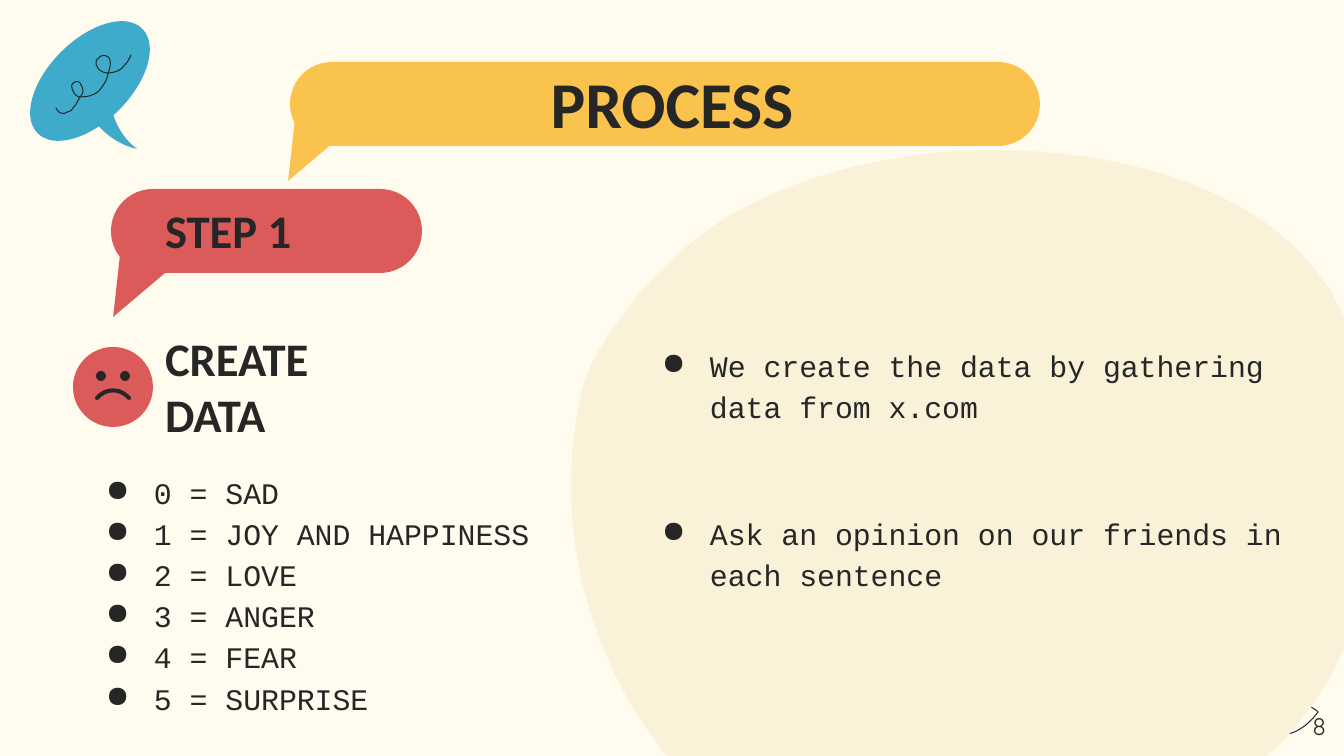
from dataclasses import dataclass

from lxml import etree
from pptx import Presentation
from pptx import util as u
from pptx.dml.color import RGBColor
from pptx.enum import shapes, text
from pptx.oxml.ns import qn

EMU_PER_PX = 914400 / 134.4
CURVE_STEPS = 12


def px(length):
    return u.Emu(round(length * EMU_PER_PX))


@dataclass(frozen=True)
class Theme:
    paper: str = "FFFBEE"
    ink: str = "262626"
    blue: str = "3DABC9"
    yellow: str = "FAC34D"
    red: str = "DB5A5A"
    cream: str = "FAF1D9"
    heading_font: str = "Calibri"
    body_font: str = "Courier New"
    number_font: str = "Quicksand"
    title_size: int = 35
    heading_size: int = 25
    body_size: int = 16
    number_size: int = 13


def flatten(start, curves):
    """Turn cubic curves (two controls and an end) or line ends into points."""
    points = [start]
    for curve in curves:
        if len(curve) == 2:
            points.append(curve)
            continue
        x0, y0 = points[-1]
        x1, y1, x2, y2, x3, y3 = curve
        for step in range(1, CURVE_STEPS + 1):
            t = step / CURVE_STEPS
            a, b, c, d = (1 - t) ** 3, 3 * t * (1 - t) ** 2, 3 * t * t * (1 - t), t ** 3
            points.append((a * x0 + b * x1 + c * x2 + d * x3,
                           a * y0 + b * y1 + c * y2 + d * y3))
    return points


class SlideBuilder:
    def __init__(self, slide, theme):
        self.slide = slide
        self.theme = theme
        slide.background.fill.solid()
        slide.background.fill.fore_color.rgb = RGBColor.from_string(theme.paper)

    def paint(self, shape, color):
        shape.shadow.inherit = False
        shape.fill.solid()
        shape.fill.fore_color.rgb = RGBColor.from_string(color)
        shape.line.fill.background()

    def preset(self, kind, box, color, rotation=0):
        shape = self.slide.shapes.add_shape(kind, *map(px, box))
        shape.rotation = rotation
        self.paint(shape, color)
        return shape

    def outline(self, start, curves, closed):
        points = [(px(x), px(y)) for x, y in flatten(start, curves)]
        builder = self.slide.shapes.build_freeform(*points[0], scale=1.0)
        builder.add_line_segments(points[1:], close=closed)
        return builder.convert_to_shape()

    def curved_area(self, start, curves, color):
        self.paint(self.outline(start, curves, True), color)

    def stroke(self, start, curves, width, closed=False):
        shape = self.outline(start, curves, closed)
        shape.shadow.inherit = False
        shape.fill.background()
        shape.line.color.rgb = RGBColor.from_string(self.theme.ink)
        shape.line.width = px(width)
        shape._element.spPr.find(qn("a:ln")).set("cap", "rnd")

    def pill(self, box, color):
        shape = self.preset(shapes.MSO_SHAPE.ROUNDED_RECTANGLE, box, color)
        shape.adjustments[0] = 0.5

    def pointer(self, left, top, color):
        shape = self.preset(shapes.MSO_SHAPE.RIGHT_TRIANGLE, (left, top, 71, 75), color, 186.3)
        shape._element.spPr.find(qn("a:xfrm")).set("flipH", "1")

    def text_frame(self, box, anchor=text.MSO_ANCHOR.TOP, top_inset=13):
        frame = self.slide.shapes.add_textbox(*map(px, box)).text_frame
        frame.word_wrap = True
        frame.vertical_anchor = anchor
        frame.margin_left = frame.margin_right = frame.margin_bottom = px(13)
        frame.margin_top = px(top_inset)
        return frame

    def run(self, paragraph, words, font, size, bold=False):
        run = paragraph.add_run()
        run.text = words
        run.font.name = font
        run.font.size = u.Pt(size)
        run.font.bold = bold
        run.font.color.rgb = RGBColor.from_string(self.theme.ink)

    def heading(self, box, words, size, align=text.PP_ALIGN.LEFT):
        paragraph = self.text_frame(box, text.MSO_ANCHOR.MIDDLE).paragraphs[0]
        paragraph.alignment = align
        self.run(paragraph, words, self.theme.heading_font, size, True)

    def page_number(self, box, words):
        paragraph = self.text_frame(box).paragraphs[0]
        paragraph.alignment = text.PP_ALIGN.RIGHT
        self.run(paragraph, words, self.theme.number_font, self.theme.number_size)

    def bullets(self, box, items, gap=0, top_inset=13):
        frame = self.text_frame(box, top_inset=top_inset)
        for index, item in enumerate(items):
            paragraph = frame.add_paragraph() if index else frame.paragraphs[0]
            properties = paragraph._p.get_or_add_pPr()
            properties.set("marL", str(px(67)))
            properties.set("indent", str(px(-48)))
            color = etree.SubElement(properties, qn("a:buClr"))
            etree.SubElement(color, qn("a:srgbClr")).set("val", self.theme.ink)
            etree.SubElement(properties, qn("a:buChar")).set("char", "●")
            paragraph.line_spacing = 1.15
            paragraph.space_before = u.Pt(gap if index else 0)
            self.run(paragraph, item, self.theme.body_font, self.theme.body_size)


def main():
    presentation = Presentation()
    presentation.slide_width, presentation.slide_height = px(1344), px(756)
    theme = Theme()
    slide = SlideBuilder(presentation.slides.add_slide(presentation.slide_layouts[6]), theme)
    oval = shapes.MSO_SHAPE.OVAL

    # Eye doodle in the corner
    slide.stroke((1243, 720), [
        (1243, 720, 1255, 702, 1275, 699), (1296, 696, 1317, 710, 1318, 712),
        (1317, 714, 1304, 731, 1288, 734), (1268, 737, 1248, 723, 1243, 720)], 1, True)

    # Blue speech bubble with a squiggle
    slide.preset(oval, (16, 40, 148, 82), theme.blue, 315)
    slide.curved_area((85, 105), [
        (94, 126, 114, 144, 137, 149), (117, 134, 108, 109, 110, 85)], theme.blue)
    slide.stroke((56, 108), [
        (57, 110, 58, 111, 59, 112), (62, 114, 65, 114, 67, 112),
        (70, 112, 72, 110, 73, 108), (76, 105, 78, 101, 80, 97),
        (82, 95, 83, 93, 83, 91), (83, 89, 82, 86, 81, 85),
        (80, 82, 78, 81, 75, 82), (73, 83, 71, 85, 72, 88),
        (73, 92, 76, 97, 80, 97), (91, 97, 95, 94, 99, 91),
        (103, 86, 107, 81, 108, 74), (110, 69, 112, 60, 108, 57),
        (105, 55, 101, 55, 99, 58), (95, 60, 96, 65, 97, 66),
        (98, 70, 103, 73, 108, 73), (113, 73, 120, 71, 123, 67),
        (127, 63, 129, 60, 131, 55)], 1)

    # Title bubble
    slide.pill((290, 62, 750, 84), theme.yellow)
    slide.pointer(292, 110, theme.yellow)
    slide.heading((105, 78, 1134, 48), "PROCESS", theme.title_size, text.PP_ALIGN.CENTER)

    # Step bubble and its subject
    slide.pointer(117, 246, theme.red)
    slide.pill((111, 189, 311, 84), theme.red)
    slide.heading((152, 212, 241, 36), "STEP 1", theme.heading_size)
    slide.heading((152, 364, 241, 44), "CREATE DATA", theme.heading_size)

    # Sad face
    slide.preset(oval, (73, 347, 80, 80), theme.red)
    slide.stroke((97, 398), [(106, 388, 120, 388, 129, 398)], 4)
    for eye_left in (96, 120):
        slide.preset(oval, (eye_left, 371, 10, 10), theme.ink)

    slide.page_number((1258, 698, 81, 58), "8")

    # Cream backdrop and the method
    slide.curved_area((995, 150), [
        (965, 150, 937, 152, 911, 156), (843, 165, 774, 187, 718, 223),
        (685, 245, 659, 270, 634, 300), (614, 325, 589, 360, 582, 391),
        (552, 512, 583, 650, 663, 751), (664, 753, 667, 755, 668, 758),
        (684, 778, 704, 796, 726, 812), (1180, 812),
        (1219, 794, 1255, 770, 1286, 738), (1391, 628, 1408, 422, 1332, 293),
        (1269, 188, 1122, 150, 995, 150)], theme.cream)
    slide.bullets((630, 271, 696, 504), [
        "We create the data by gathering data from x.com",
        "Ask an opinion on our friends in each sentence"], gap=46, top_inset=71)

    # Emotion labels
    emotions = ("SAD", "JOY AND HAPPINESS", "LOVE", "ANGER", "FEAR", "SURPRISE")
    slide.bullets((74, 456, 539, 266),
                  [f"{code} = {emotion}" for code, emotion in enumerate(emotions)])

    presentation.save("out.pptx")


if __name__ == "__main__":
    main()
